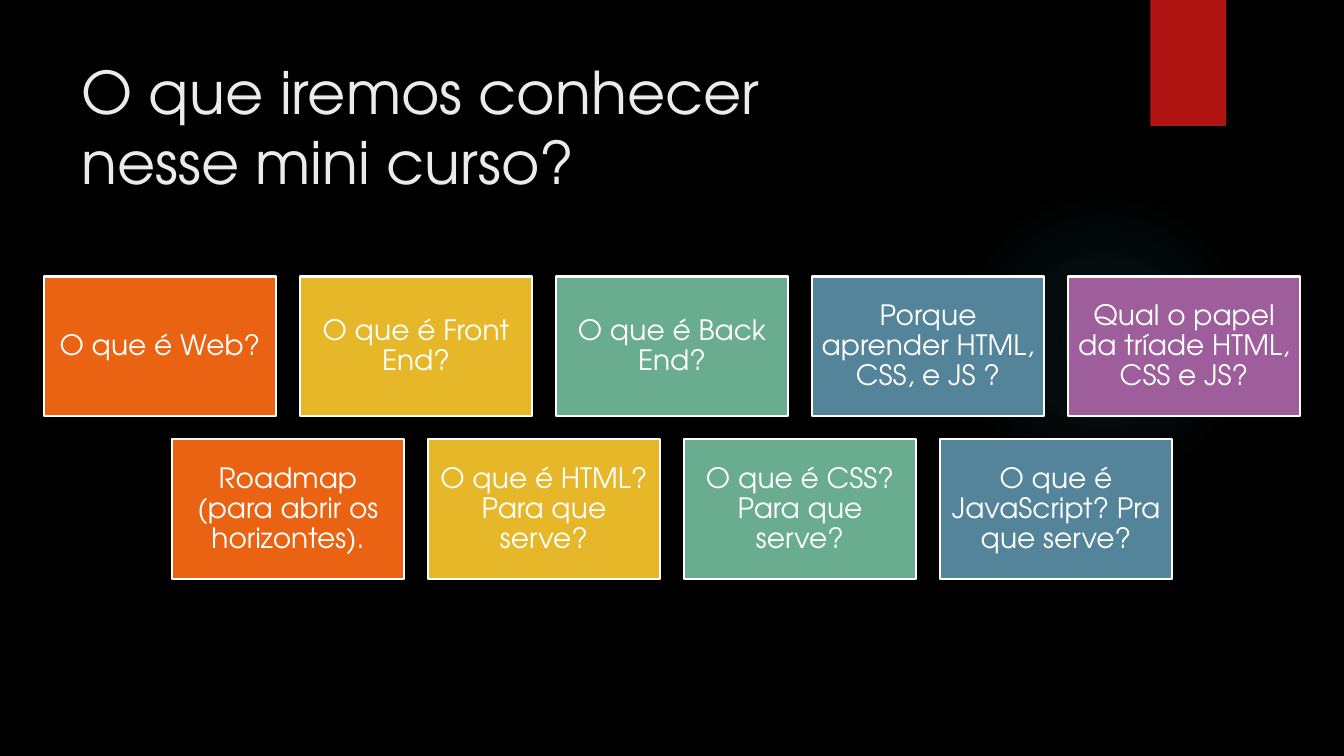
from lxml.etree import SubElement
from pptx import Presentation
from pptx.dml.color import RGBColor
from pptx.enum.shapes import MSO_SHAPE as Preset
from pptx.enum.text import MSO_ANCHOR as Anchor, PP_ALIGN as Align
from pptx.oxml import parse_xml
from pptx.oxml.ns import nsdecls, qn
from pptx.util import Pt

FONT = "TeX Gyre Adventor"
WIDTH, HEIGHT = 960, 540
COLORS = {
    "background": "000000", "title": "EBEBEB", "white": "FFFFFF",
    "ribbon": "B01513", "glow": "50B9C1", "shadow": "000000",
    "orange": "EA6312", "yellow": "E6B729", "green": "6AAC90",
    "blue": "54849A", "purple": "9E5E9B",
}
CARD_COLORS = ["orange", "yellow", "green", "blue", "purple"]
TOPIC_ROWS = [
    ["O que é Web?", "O que é Front End?", "O que é Back End?",
     "Porque aprender HTML, CSS, e JS ?",
     "Qual o papel da tríade HTML, CSS e JS?"],
    ["Roadmap (para abrir os horizontes).", "O que é HTML? Para que serve?",
     "O que é CSS? Para que serve?", "O que é JavaScript? Pra que serve?"],
]
CARD_WIDTH, CARD_HEIGHT, CARD_GAP = 166.25, 99.75, 16.63
CARDS_TOP = 197.5


class SlideBuilder:
    """Draw styled elements on one slide, measured in points."""

    def __init__(self, slide):
        self.slide = slide
        fill = slide.background.fill
        fill.solid()
        fill.fore_color.rgb = self.color("background")

    def color(self, name):
        """Return the named palette color."""
        return RGBColor.from_string(COLORS[name])

    def style_text(self, text_frame, size, color, align, anchor):
        """Format all the text of a frame."""
        text_frame.word_wrap = True
        text_frame.vertical_anchor = anchor
        for paragraph in text_frame.paragraphs:
            paragraph.alignment = align
            for run in paragraph.runs:
                run.font.name = FONT
                run.font.size = Pt(size)
                run.font.color.rgb = self.color(color)

    def shape(self, preset, left, top, width, height, color):
        """Add a plain filled shape."""
        shape = self.slide.shapes.add_shape(
            preset, Pt(left), Pt(top), Pt(width), Pt(height))
        shape.shadow.inherit = False
        shape.fill.solid()
        shape.fill.fore_color.rgb = self.color(color)
        shape.line.fill.background()
        return shape

    def glow(self, left, top, size):
        """Add a faint circle that fades outwards."""
        shape = self.shape(Preset.OVAL, left, top, size, size, "glow")
        stops = "".join(
            f'<a:gs pos="{position * 1000}"><a:srgbClr val="{COLORS["glow"]}">'
            f'<a:alpha val="{opacity * 1000}"/></a:srgbClr></a:gs>'
            for position, opacity in [(0, 7), (36, 6), (69, 0), (100, 0)])
        gradient = parse_xml(
            f'<a:gradFill {nsdecls("a")} rotWithShape="1"><a:gsLst>{stops}</a:gsLst>'
            '<a:path path="circle"><a:fillToRect l="50000" t="50000" '
            'r="50000" b="50000"/></a:path></a:gradFill>')
        properties = shape.element.spPr
        properties.replace(properties.find(qn("a:solidFill")), gradient)

    def ribbon(self, left, top, width, height):
        """Add the red tab with a soft shadow below it."""
        shape = self.shape(Preset.RECTANGLE, left, top, width, height, "ribbon")
        effects = shape.element.spPr.find(qn("a:effectLst"))
        shadow = SubElement(effects, qn("a:outerShdw"), blurRad=str(Pt(3)),
                            dist=str(Pt(2)), dir="5400000", rotWithShape="0")
        tint = SubElement(shadow, qn("a:srgbClr"), val=COLORS["shadow"])
        SubElement(tint, qn("a:alpha"), val="45000")

    def title(self, text, left, top, width, height):
        """Place and fill the title placeholder."""
        title = self.slide.shapes.title
        title.left, title.top = Pt(left), Pt(top)
        title.width, title.height = Pt(width), Pt(height)
        title.text_frame.text = text
        self.style_text(title.text_frame, 42, "title", Align.LEFT, Anchor.TOP)

    def card(self, text, left, top, color):
        """Add one topic card."""
        shape = self.shape(
            Preset.RECTANGLE, left, top, CARD_WIDTH, CARD_HEIGHT, color)
        shape.line.color.rgb = self.color("white")
        shape.line.width = Pt(1.5)
        frame = shape.text_frame
        frame.margin_left = frame.margin_right = Pt(6)
        frame.margin_top = frame.margin_bottom = Pt(6)
        frame.text = text
        frame.paragraphs[0].line_spacing = 0.9
        self.style_text(frame, 20, "white", Align.CENTER, Anchor.MIDDLE)

    def card_row(self, topics, top):
        """Add a row of cards centered on the slide."""
        step = CARD_WIDTH + CARD_GAP
        start = (WIDTH - len(topics) * step + CARD_GAP) / 2
        for column, (topic, color) in enumerate(zip(topics, CARD_COLORS)):
            self.card(topic, start + column * step, top, color)


def main():
    """Build and save the presentation."""
    presentation = Presentation()
    presentation.slide_width, presentation.slide_height = Pt(WIDTH), Pt(HEIGHT)
    slide = presentation.slides.add_slide(presentation.slide_layouts[5])
    builder = SlideBuilder(slide)
    builder.glow(677.5, 131.75, 221.75)
    builder.ribbon(821.75, 0, 54, 90)
    builder.title("O que iremos conhecer nesse mini curso?", 51, 36, 546, 110)
    for row, topics in enumerate(TOPIC_ROWS):
        builder.card_row(topics, CARDS_TOP + row * (CARD_HEIGHT + CARD_GAP))
    presentation.save("out.pptx")


if __name__ == "__main__":
    main()
